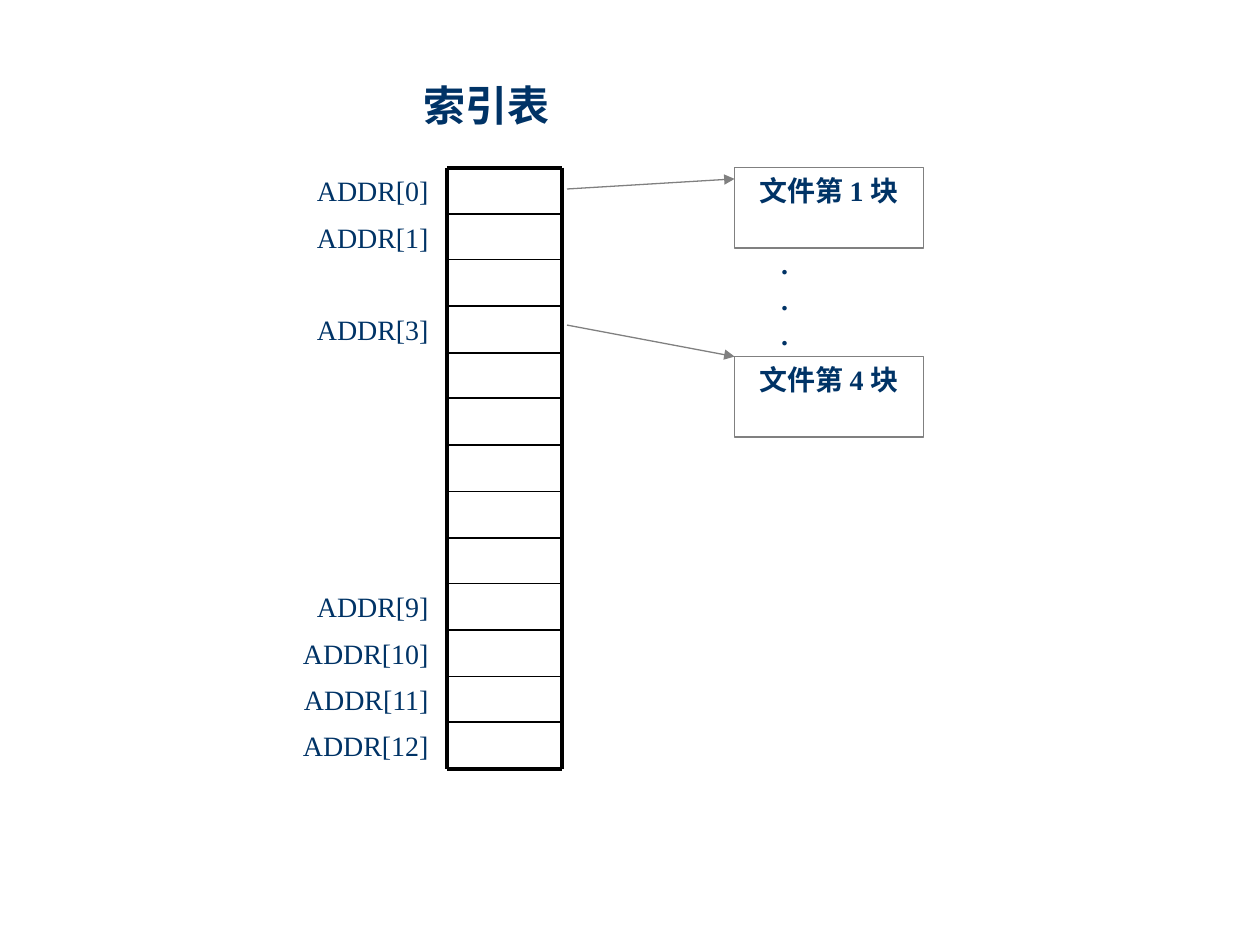
from dataclasses import dataclass

from lxml import etree
from pptx import Presentation
from pptx.dml.color import RGBColor
from pptx.enum.shapes import MSO_CONNECTOR, MSO_SHAPE
from pptx.enum.text import MSO_ANCHOR, PP_ALIGN
from pptx.oxml.ns import qn
from pptx.util import Pt

EMU_PER_PX = 9144
STRAIGHT = MSO_CONNECTOR.STRAIGHT
RECT = MSO_SHAPE.RECTANGLE
TOP = MSO_ANCHOR.TOP
CENTER, RIGHT = PP_ALIGN.CENTER, PP_ALIGN.RIGHT


@dataclass(frozen=True)
class Theme:
    font: str = "Times New Roman"
    text: RGBColor = RGBColor(0x00, 0x33, 0x66)
    grid: RGBColor = RGBColor(0x00, 0x00, 0x00)
    block: RGBColor = RGBColor(0x80, 0x80, 0x80)
    title_size: int = 24
    body_size: int = 16
    border: float = 2.25
    rule: float = 1
    thin: float = 0.75


def px(n):
    return round(n) * EMU_PER_PX


class Drawer:
    """Draws styled elements on the current slide."""

    def __init__(self, slide, theme):
        self.s = slide
        self.theme = theme

    def fill_text(self, sp, lines, size, bold, align, wrap=True):
        tf = sp.text_frame
        tf.word_wrap = wrap
        tf.vertical_anchor = TOP
        for i, line in enumerate(lines):
            p = tf.add_paragraph() if i else tf.paragraphs[0]
            p.alignment = align
            if i:
                p.space_before = Pt(1)
            r = p.add_run()
            r.text = line
            r.font.name = self.theme.font
            r.font.size = Pt(size)
            r.font.bold = bold
            r.font.color.rgb = self.theme.text

    def text(self, box, lines, size, bold=False, align=CENTER, wrap=True):
        sp = self.s.shapes.add_textbox(*map(px, box))
        self.fill_text(sp, lines, size, bold, align, wrap)

    def block(self, box, label):
        sp = self.s.shapes.add_shape(RECT, *map(px, box))
        sp.shadow.inherit = False
        sp.fill.background()
        sp.line.color.rgb = self.theme.block
        sp.line.width = Pt(self.theme.thin)
        self.fill_text(sp, [label], self.theme.body_size, True, CENTER)

    def line(self, start, end, color, width, arrow=False):
        c = self.s.shapes.add_connector(STRAIGHT, *map(px, (*start, *end)))
        c.line.color.rgb = color
        c.line.width = Pt(width)
        if arrow:
            ln = c._element.spPr.find(qn("a:ln"))
            etree.SubElement(ln, qn("a:tailEnd"), type="triangle")
        etree.SubElement(c._element.spPr, qn("a:effectLst"))


def main():
    theme = Theme()
    prs = Presentation()
    prs.slide_width, prs.slide_height = px(1000), px(750)
    d = Drawer(prs.slides.add_slide(prs.slide_layouts[6]), theme)

    left, right, top, bottom, rows = 355, 446, 133, 610, 13
    row_y = [top + (bottom - top) * i / rows for i in range(rows + 1)]
    for i, y in enumerate(row_y):
        width = theme.border if i in (0, rows) else theme.rule
        d.line((left, y), (right, y), theme.grid, width)
    for x in (left, right):
        d.line((x, top), (x, bottom), theme.grid, theme.border)

    for i in (0, 1, 3, 9, 10, 11, 12):
        d.text((200, row_y[i], 150, 37), [f"ADDR[{i}]"], theme.body_size, align=RIGHT)
    d.text((326, 58, 120, 50), ["索引表"], theme.title_size, bold=True, wrap=False)

    for number, y, start_y, end_y in ((1, 133, 150, 142), (4, 283, 258, 283)):
        d.block((583, y, 150, 64), f"文件第 {number} 块")
        d.line((450, start_y), (583, end_y), theme.block, theme.thin, arrow=True)
    d.text((610, 191, 25, 90), ["."] * 3, theme.body_size, bold=True, wrap=False)

    prs.save("out.pptx")


if __name__ == "__main__":
    main()
